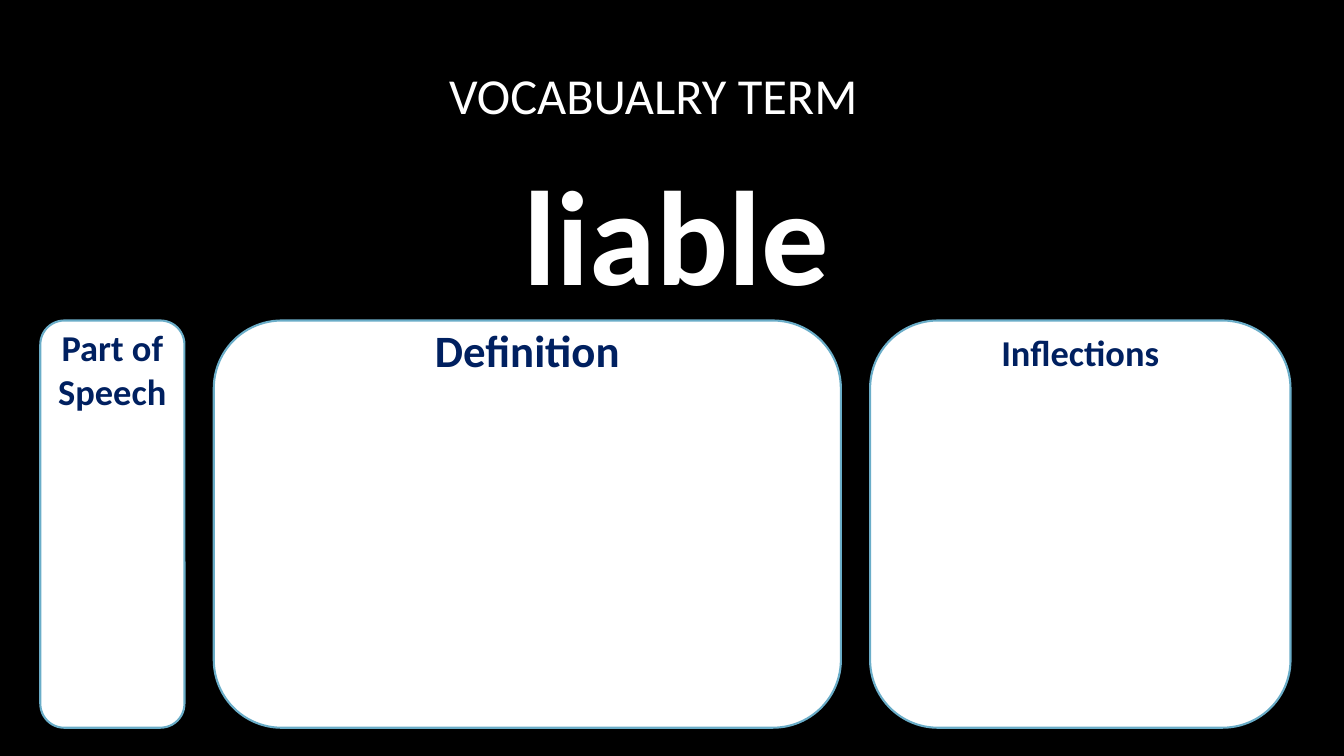
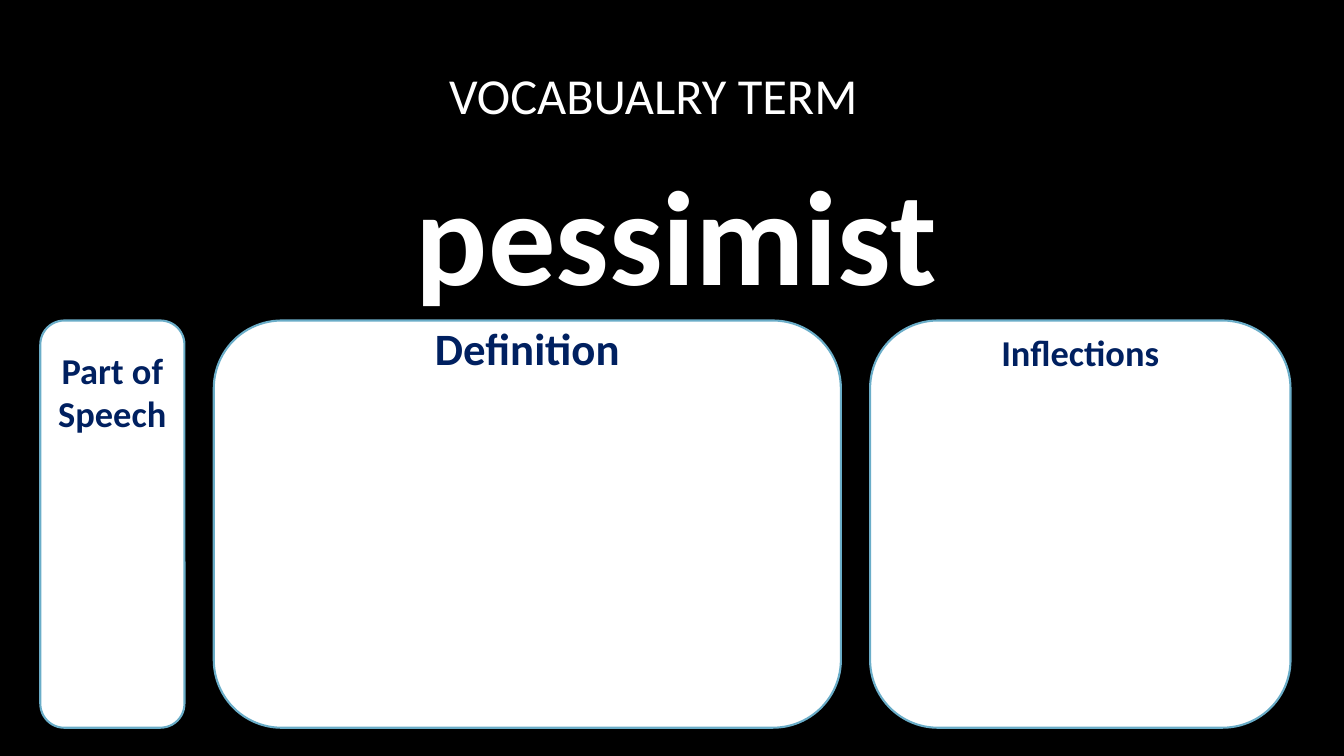
from pptx import Presentation
from pptx.dml.color import RGBColor
from pptx.enum.shapes import MSO_SHAPE
from pptx.enum.text import MSO_ANCHOR, PP_ALIGN
from pptx.util import Inches, Pt

ROUNDED = MSO_SHAPE.ROUNDED_RECTANGLE
TOP, MIDDLE = MSO_ANCHOR.TOP, MSO_ANCHOR.MIDDLE
CENTER = PP_ALIGN.CENTER

FONT = "Calibri"
BLACK, WHITE, NAVY, SKY = "000000", "FFFFFF", "002060", "6AADC8"
WIDTH, HEIGHT = 13.33, 7.5
TITLE_BOX = (1.17, 0.46, 10.62, 0.96)
TERM_BOX = (1.17, 1.42, 11.08, 1.76)
CARD_ROW = (0.4, 3.18, 12.4, 4.04)
CARD_GAP = 0.29
CARDS = [("Part of Speech", 1.43, 26), ("Definition", 6.22, 32), ("Inflections", 4.17, 26)]
TERMS = [("liable", (0.05, 0.02, 0.09)), ("pessimist", (0.27, 0, 0.09))]


def color(value):
    return RGBColor.from_string(value)


def add_text(page, box, text, size, tint, bold=False, anchor=MIDDLE):
    frame = page.shapes.add_textbox(*map(Inches, box)).text_frame
    frame.word_wrap = True
    frame.vertical_anchor = anchor
    frame.margin_left = frame.margin_right = frame.margin_top = frame.margin_bottom = 0
    para = frame.paragraphs[0]
    para.text = text
    para.alignment = CENTER
    para.font.name = FONT
    para.font.size = Pt(size)
    para.font.bold = bold
    para.font.color.rgb = color(tint)


def add_card(page, box, label, size, drop):
    left, top, width, height = box
    card = page.shapes.add_shape(ROUNDED, *map(Inches, box))
    card.shadow.inherit = False
    card.fill.solid()
    card.fill.fore_color.rgb = color(WHITE)
    card.line.color.rgb = color(SKY)
    card.line.width = Pt(1.5)
    add_text(page, (left, top + drop, width, height / 4), label, size, NAVY, True, TOP)


def add_card_row(page, box, drops):
    left, top, _, height = box
    for (label, width, size), drop in zip(CARDS, drops):
        add_card(page, (left, top, width, height), label, size, drop)
        left += width + CARD_GAP


def add_term_page(deck, term, drops):
    page = deck.slides.add_slide(deck.slide_layouts[6])
    page.background.fill.solid()
    page.background.fill.fore_color.rgb = color(BLACK)
    add_text(page, TITLE_BOX, "VOCABUALRY TERM", 36, WHITE)
    add_text(page, TERM_BOX, term, 96, WHITE, True)
    add_card_row(page, CARD_ROW, drops)


def main():
    deck = Presentation()
    deck.slide_width, deck.slide_height = Inches(WIDTH), Inches(HEIGHT)
    for term, drops in TERMS:
        add_term_page(deck, term, drops)
    deck.save("out.pptx")


if __name__ == "__main__":
    main()
